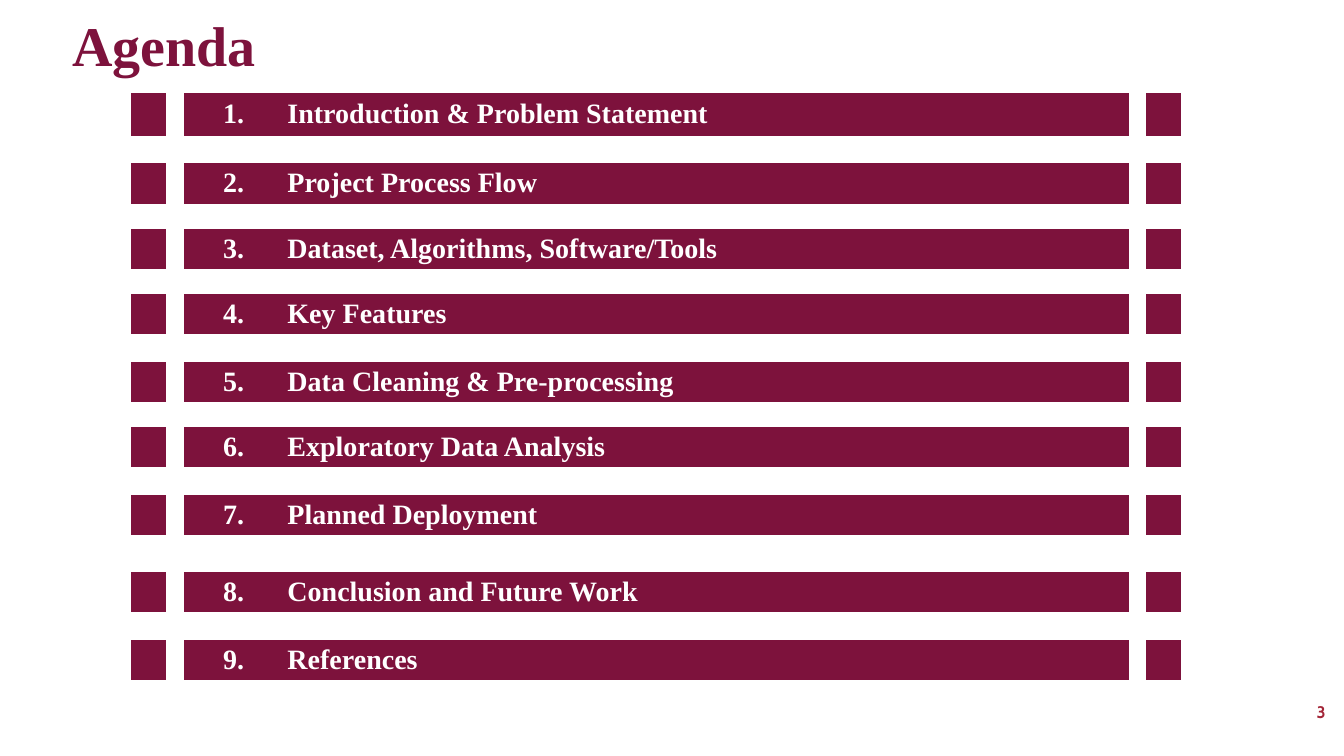
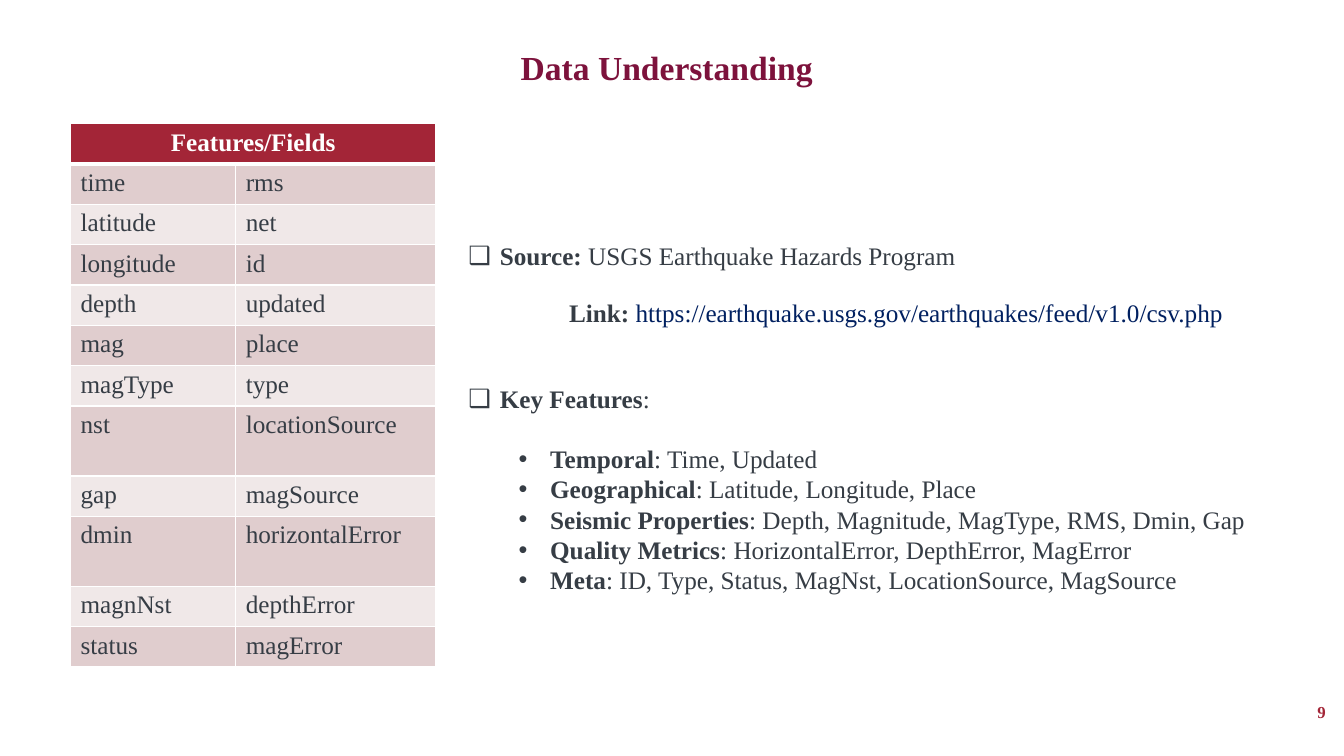
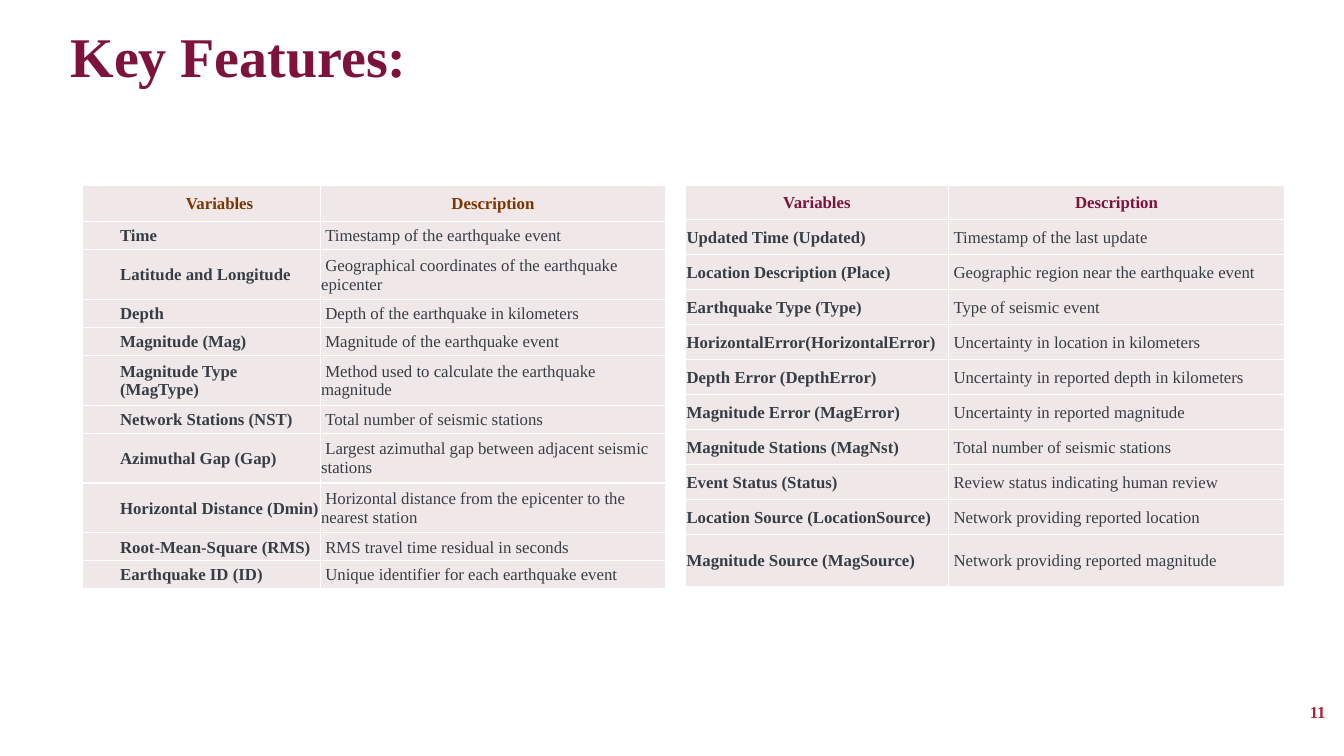
from lxml import etree
from pptx import Presentation
from pptx.dml.color import RGBColor
from pptx.enum.text import MSO_ANCHOR, MSO_AUTO_SIZE, PP_ALIGN
from pptx.oxml.ns import qn
from pptx.util import Pt

LEFT, MID, RIGHT = PP_ALIGN.LEFT, PP_ALIGN.CENTER, PP_ALIGN.RIGHT
TOP, CENTER = MSO_ANCHOR.TOP, MSO_ANCHOR.MIDDLE
TITLE_ONLY = 5
SERIF, SANS = "Times New Roman", "Cabin"
NO_STYLE = "{2D5ABB26-0587-4C30-8999-92F81FD0307C}"
COLORS = {"wine": "7D123C", "red": "A32537", "ink": "363D45", "white": "FFFFFF",
          "rose": "E0CDCE", "pale": "F0E8E8", "brown": "7A3500", "navy": "002060"}

# Content
AGENDA = [  # top of each group, number of its first entry, its entries
    (46.8, 1, ["Introduction & Problem Statement", "Project Process Flow"]),
    (190.4, 4, ["Key Features", "Data Cleaning & Pre-processing"]),
    (285.4, 6, ["Exploratory Data Analysis", "Planned Deployment"]),
    (389, 8, ["Conclusion and Future Work", "References"]),
    (144, 3, ["Dataset, Algorithms, Software/Tools"]),
]
FIELDS = [
    ("time", "rms"), ("latitude", "net"), ("longitude", "id"), ("depth", "updated"),
    ("mag", "place"), ("magType", "type"), ("nst", "locationSource"),
    ("gap", "magSource"), ("dmin", "horizontalError"), ("magnNst", "depthError"),
    ("status", "magError"),
]
TALL = {"nst", "dmin"}
SOURCE = ("Source:", " USGS Earthquake Hazards Program")
LINK = ("Link: ", "https://earthquake.usgs.gov/earthquakes/feed/v1.0/csv.php")
GROUPS = [
    ("Temporal", ": Time, Updated"),
    ("Geographical", ": Latitude, Longitude, Place"),
    ("Seismic Properties", ": Depth, Magnitude, MagType, RMS, Dmin, Gap"),
    ("Quality Metrics", ": HorizontalError, DepthError, MagError"),
    ("Meta", ": ID, Type, Status, MagNst, LocationSource, MagSource"),
]
HEADS = ("Variables", "Description")
FIRST = [
    ("Time", "Timestamp of the earthquake event"),
    ("Latitude and Longitude", "Geographical coordinates of the earthquake epicenter"),
    ("Depth", "Depth of the earthquake in kilometers"),
    ("Magnitude (Mag)", "Magnitude of the earthquake event"),
    ("Magnitude Type (MagType)", "Method used to calculate the earthquake magnitude"),
    ("Network Stations (NST)", "Total number of seismic stations"),
    ("Azimuthal Gap (Gap)", "Largest azimuthal gap between adjacent seismic stations"),
    ("Horizontal Distance (Dmin)",
     "Horizontal distance from the epicenter to the nearest station"),
    ("Root-Mean-Square (RMS)", "RMS travel time residual in seconds"),
    ("Earthquake ID (ID)", "Unique identifier for each earthquake event"),
]
SECOND = [
    ("Updated Time (Updated)", "Timestamp of the last update"),
    ("Location Description (Place)", "Geographic region near the earthquake event"),
    ("Earthquake Type (Type)", "Type of seismic event"),
    ("HorizontalError(HorizontalError)", "Uncertainty in location in kilometers"),
    ("Depth Error (DepthError)", "Uncertainty in reported depth in kilometers"),
    ("Magnitude Error (MagError)", "Uncertainty in reported magnitude"),
    ("Magnitude Stations (MagNst)", "Total number of seismic stations"),
    ("Event Status (Status)", "Review status indicating human review"),
    ("Location Source (LocationSource)", "Network providing reported location"),
    ("Magnitude Source (MagSource)", "Network providing reported magnitude"),
]
WRAP = 45  # longer descriptions take two lines


# Text helpers
def rgb(name):
    return RGBColor.from_string(COLORS[name])


def write(para, text, size, color="ink", bold=False, font=SERIF):
    run = para.add_run()
    run.text = text
    for key, value in {"name": font, "size": Pt(size), "bold": bold}.items():
        setattr(run.font, key, value)
    run.font.color.rgb = rgb(color)


def indent(para, left, first, mark=None):
    props = para._p.get_or_add_pPr()
    props.set("marL", str(Pt(left)))
    props.set("indent", str(Pt(first)))
    if mark:
        etree.SubElement(props, qn("a:buFont")).set("typeface", "Arial")
        etree.SubElement(props, qn("a:buChar")).set("char", mark)


def pair(para, label, text, color="ink"):
    write(para, label, 18, bold=True)
    write(para, text, 18, color)


def textbox(slide, box, anchor=TOP):
    frame = slide.shapes.add_textbox(*map(Pt, box)).text_frame
    frame.word_wrap = True
    frame.vertical_anchor = anchor
    return frame


# Shared slide parts
def page(deck, title, box, number, size=40, align=LEFT, font=SERIF):
    slide = deck.slides.add_slide(deck.slide_layouts[TITLE_ONLY])
    head = slide.shapes.title
    for key, value in zip(("left", "top", "width", "height"), box):
        setattr(head, key, Pt(value))
    frame = head.text_frame
    frame.auto_size = MSO_AUTO_SIZE.NONE
    frame.vertical_anchor = TOP
    para = frame.paragraphs[0]
    para.alignment, para.line_spacing = align, 0.9
    write(para, title, size, "wine", True)
    foot = textbox(slide, (738, 494, 216, 28.8), CENTER).paragraphs[0]
    foot.alignment = RIGHT
    write(foot, number, 12, "red", True, font)
    return slide


# Table helpers
def grid(slide, left, top, cols, rows):
    shape = slide.shapes.add_table(len(rows), len(cols), Pt(left), Pt(top),
                                   Pt(sum(cols)), Pt(sum(rows)))
    for tag in shape.element.iter(qn("a:tableStyleId")):
        tag.text = NO_STYLE
    table = shape.table
    for col, width in zip(table.columns, cols):
        col.width = Pt(width)
    for row, height in zip(table.rows, rows):
        row.height = Pt(height)
    return table


def pad(cell, *sides):
    for side, value in zip(("left", "top", "right", "bottom"), sides):
        setattr(cell, "margin_" + side, Pt(value))
    cell.vertical_anchor = CENTER


def paint(cell, color):
    cell.fill.solid()
    cell.fill.fore_color.rgb = rgb(color)


def border(cell, bottom=1):
    props = cell._tc.get_or_add_tcPr()
    for spot, (side, width) in enumerate(zip("LRTB", (1, 1, 1, bottom))):
        line = etree.Element(qn("a:ln" + side), w=str(Pt(width)))
        fill = etree.SubElement(line, qn("a:solidFill"))
        etree.SubElement(fill, qn("a:srgbClr")).set("val", COLORS["white"])
        props.insert(spot, line)


def shrink(cell):
    pad(cell, 0, 0, 0, 0)
    para = cell.text_frame.paragraphs[0]
    etree.SubElement(para._p, qn("a:endParaRPr")).set("sz", "1000")


# Agenda
def agenda(deck):
    slide = page(deck, "Agenda", (44.6, 9.4, 843, 57.6), "3", font=SANS)
    cols = (24.8, 12.8, 71.3, 604, 12.5, 24.8)
    gaps = (1, 4)
    for top, start, names in AGENDA:
        rows = [19.6, 28.8] * len(names)
        if start == 1:
            rows[1] = 30.6
        if len(names) == 1:
            rows.append(19.6)
        table = grid(slide, 93.6, top, cols, rows)
        for r in range(len(rows)):
            bar, item = r % 2, r // 2
            texts = {2: f"{start + item}.", 3: names[item]} if bar else {}
            for c in range(len(cols)):
                cell = table.cell(r, c)
                if bar and c not in gaps:
                    paint(cell, "wine")
                if c in texts:
                    pad(cell, 2.88, 2, 2.88, 2)
                    para = cell.text_frame.paragraphs[0]
                    para.alignment = MID if c == 2 else LEFT
                    write(para, texts[c], 20, "white", True)
                else:
                    shrink(cell)


# Data understanding
def data(deck):
    slide = page(deck, "Data Understanding", (43.2, 33.2, 866, 57.6), "9",
                 size=24, align=MID)
    frame = textbox(slide, (327.4, 168.2, 582.5, 70.6))
    para = frame.paragraphs[0]
    indent(para, 22.5, -22.5, "❑")
    pair(para, *SOURCE)
    para = frame.add_paragraph()
    indent(para, 72, 0)
    para.space_before = Pt(19.2)
    pair(para, *LINK, color="navy")

    frame = textbox(slide, (327.4, 270.2, 582.5, 160))
    para = frame.paragraphs[0]
    indent(para, 22.5, -22.5, "❑")
    pair(para, "Key Features", ":")
    for i, group in enumerate(GROUPS):
        para = frame.add_paragraph()
        para.space_before = Pt(0 if i else 21.5)
        indent(para, 58.5, -22.5, "•")
        pair(para, *group)

    rows = [28.8] + [50 if name in TALL else 28.8 for name, _ in FIELDS]
    table = grid(slide, 50.4, 88.2, (118, 143), rows)
    head = table.cell(0, 0)
    head.merge(table.cell(0, 1))
    para = head.text_frame.paragraphs[0]
    para.alignment = MID
    write(para, "Features/Fields", 18, "white", True)
    for c in range(2):
        paint(table.cell(0, c), "red")
        border(table.cell(0, c), 3)
    for r, names in enumerate(FIELDS, 1):
        for c, name in enumerate(names):
            cell = table.cell(r, c)
            paint(cell, "rose" if r % 2 else "pale")
            border(cell)
            write(cell.text_frame.paragraphs[0], name, 18)


# Key features
def glossary(slide, left, cols, rows, items, inset, color):
    table = grid(slide, left, 132.6, cols, rows)
    for r, texts in enumerate([HEADS] + items):
        for c, text in enumerate(texts):
            cell = table.cell(r, c)
            pad(cell, 0.7 if c else inset, 0.7, 0.7, 0)
            paint(cell, "pale")
            border(cell)
            para = cell.text_frame.paragraphs[0]
            if r == 0:
                para.alignment = MID
            elif c:
                indent(para, 0, 3)
            write(para, text, 12, "ink" if r else color, r == 0 or c == 0)


def features(deck):
    slide = page(deck, "Key Features:", (43.2, 17.3, 900, 57.6), "11")
    rows = [25.8] + [35.6 if len(text) > WRAP else 20 for _, text in FIRST]
    glossary(slide, 58.6, (170.1, 247), rows, FIRST, 27.2, "brown")
    rows = [24.4] + [25] * (len(SECOND) - 1) + [37.4]
    glossary(slide, 489.7, (187.7, 240.3), rows, SECOND, 0.7, "wine")


def main():
    deck = Presentation()
    deck.slide_width, deck.slide_height = Pt(960), Pt(540)
    for build in (agenda, data, features):
        build(deck)
    deck.save("out.pptx")


if __name__ == "__main__":
    main()
